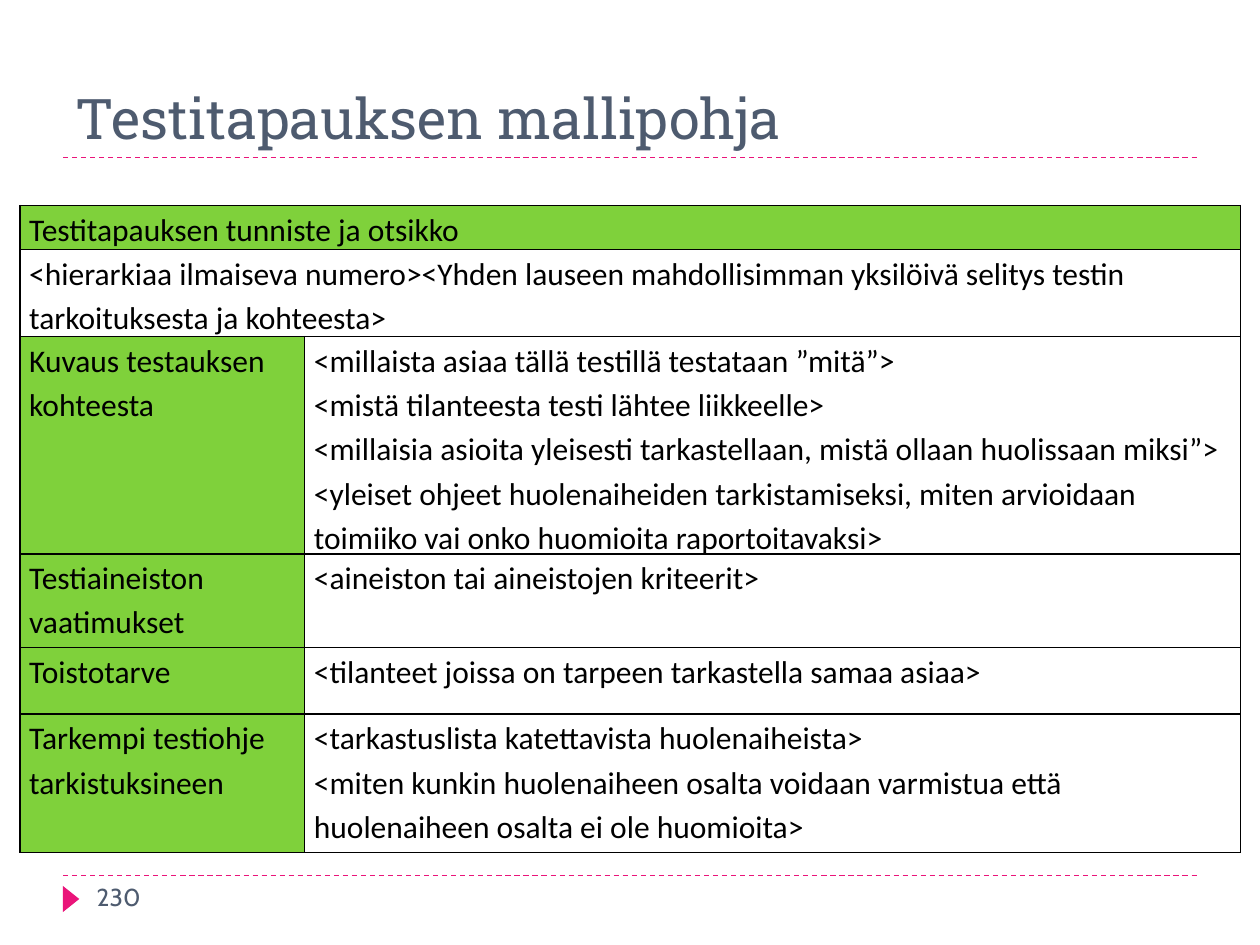
from lxml.etree import SubElement
from pptx import Presentation
from pptx.dml.color import RGBColor
from pptx.enum.dml import MSO_LINE
from pptx.enum.shapes import MSO_CONNECTOR, MSO_SHAPE
from pptx.enum.text import MSO_ANCHOR, PP_ALIGN
from pptx.oxml.ns import qn
from pptx.util import Pt

TITLE = "Testitapauksen mallipohja"
NUMBER = "230"

# One tuple per row: a single text spans both columns
ROWS = [
    ("Testitapauksen tunniste ja otsikko",),
    ("<hierarkiaa ilmaiseva numero><Yhden lauseen mahdollisimman yksilöivä "
     "selitys testin tarkoituksesta ja kohteesta>",),
    ("Kuvaus testauksen kohteesta",
     "<millaista asiaa tällä testillä testataan ”mitä”>\n"
     "<mistä tilanteesta testi lähtee liikkeelle>\n"
     "<millaisia asioita yleisesti tarkastellaan, mistä ollaan huolissaan miksi”>\n"
     "<yleiset ohjeet huolenaiheiden tarkistamiseksi, miten arvioidaan "
     "toimiiko vai onko huomioita raportoitavaksi>"),
    ("Testiaineiston vaatimukset", "<aineiston tai aineistojen kriteerit>"),
    ("Toistotarve", "<tilanteet joissa on tarpeen tarkastella samaa asiaa>"),
    ("Tarkempi testiohje tarkistuksineen",
     "<tarkastuslista katettavista huolenaiheista>\n"
     "<miten kunkin huolenaiheen osalta voidaan varmistua että "
     "huolenaiheen osalta ei ole huomioita>"),
]
HEIGHTS = [25.2, 42.2, 112.3, 53.3, 38.2, 79.2]
WIDTHS = [162.7, 535]
PLAIN_ROW = 1

COLORS = {"slate": "4E5B6F", "pink": "EA157A", "green": "7FD13B", "black": "000000"}


def color(name):
    return RGBColor.from_string(COLORS[name])


def style(para, face, size, name):
    para.font.name = face
    para.font.size = Pt(size)
    para.font.color.rgb = color(name)


def add_rule(slide, y):
    rule = slide.shapes.add_connector(
        MSO_CONNECTOR.STRAIGHT, Pt(36), Pt(y), Pt(684), Pt(y))
    rule.line.color.rgb = color("pink")
    rule.line.width = Pt(0.75)
    rule.line.dash_style = MSO_LINE.DASH
    SubElement(rule._element.spPr, qn("a:effectLst"))


def add_border(cell):
    props = cell._tc.get_or_add_tcPr()
    for side in ("lnL", "lnR", "lnT", "lnB"):
        line = SubElement(props, qn("a:" + side), w=str(Pt(1)))
        fill = SubElement(line, qn("a:solidFill"))
        SubElement(fill, qn("a:srgbClr"), val=COLORS["black"])


def fill_cell(cell, text, green):
    cell.margin_left = cell.margin_right = Pt(5.4)
    cell.margin_top = cell.margin_bottom = 0
    cell.text_frame.text = text
    for para in cell.text_frame.paragraphs:
        para.line_spacing = 1.15
        style(para, "Calibri", 18, "black")
    if green:
        cell.fill.solid()
        cell.fill.fore_color.rgb = color("green")
    else:
        cell.fill.background()


def add_grid(slide):
    frame = slide.shapes.add_table(
        len(ROWS), len(WIDTHS), Pt(11.3), Pt(117.5), Pt(sum(WIDTHS)), Pt(sum(HEIGHTS)))
    table = frame.table
    table.first_row = table.horz_banding = False
    for col, width in zip(table.columns, WIDTHS):
        col.width = Pt(width)
    for row, height in zip(table.rows, HEIGHTS):
        row.height = Pt(height)
    for r, texts in enumerate(ROWS):
        for c in range(len(WIDTHS)):
            cell = table.cell(r, c)
            add_border(cell)
            text = texts[c] if c < len(texts) else ""
            fill_cell(cell, text, c == 0 and r != PLAIN_ROW)
        if len(texts) == 1:
            table.cell(r, 0).merge(table.cell(r, 1))


def main():
    deck = Presentation()
    deck.slide_width, deck.slide_height = Pt(720), Pt(540)
    slide = deck.slides.add_slide(deck.slide_layouts[5])

    # Dashed rules above the footer and below the title
    for y in (500.4, 90):
        add_rule(slide, y)

    # Footer arrow and page number
    arrow = slide.shapes.add_shape(
        MSO_SHAPE.ISOSCELES_TRIANGLE, Pt(33.1), Pt(509), Pt(15), Pt(9.4))
    arrow.rotation = 90
    arrow.shadow.inherit = False
    arrow.fill.solid()
    arrow.fill.fore_color.rgb = color("pink")
    arrow.line.fill.background()
    box = slide.shapes.add_textbox(Pt(48.2), Pt(500.4), Pt(156), Pt(28.8))
    box.text_frame.word_wrap = True
    box.text_frame.text = NUMBER
    style(box.text_frame.paragraphs[0], "Cabin", 14, "slate")

    # Title
    title = slide.shapes.title
    title.left, title.top, title.width, title.height = Pt(36), Pt(18), Pt(648), Pt(72)
    title.text_frame.text = TITLE
    title.text_frame.vertical_anchor = MSO_ANCHOR.BOTTOM
    para = title.text_frame.paragraphs[0]
    para.alignment = PP_ALIGN.LEFT
    style(para, "Roboto Slab", 32, "slate")

    # Test case template
    add_grid(slide)
    deck.save("out.pptx")


if __name__ == "__main__":
    main()
